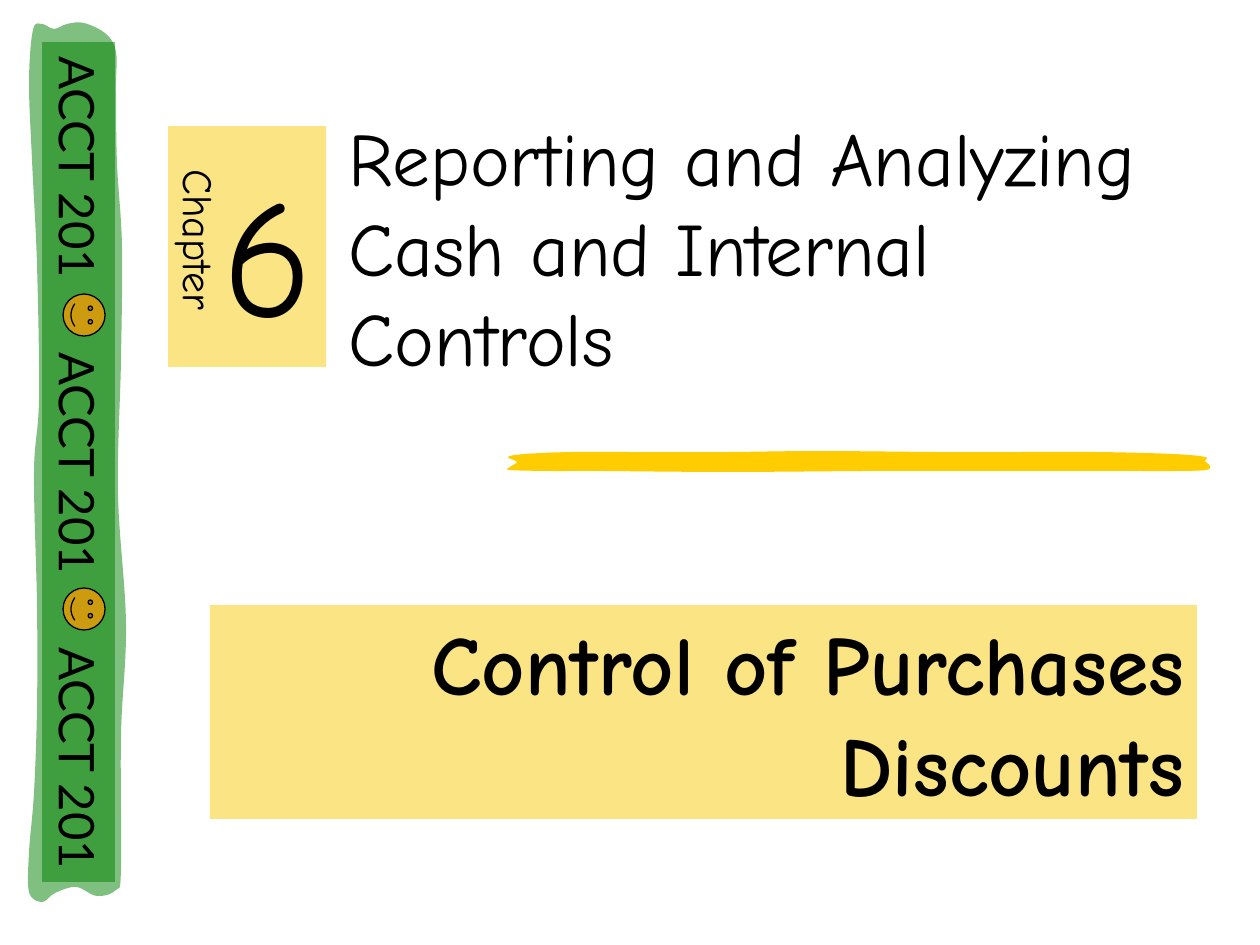
from lxml import etree
from pptx import Presentation
from pptx.dml.color import RGBColor
from pptx.enum.shapes import MSO_SHAPE
from pptx.enum.text import MSO_ANCHOR, MSO_AUTO_SIZE, PP_ALIGN
from pptx.oxml.ns import qn
from pptx.util import Pt

PX = 914400 / 126
RECTANGLE, SMILEY = MSO_SHAPE.RECTANGLE, MSO_SHAPE.SMILEY_FACE
TOP, MIDDLE, BOTTOM = MSO_ANCHOR.TOP, MSO_ANCHOR.MIDDLE, MSO_ANCHOR.BOTTOM
LEFT, RIGHT = PP_ALIGN.LEFT, PP_ALIGN.RIGHT
FIXED = MSO_AUTO_SIZE.NONE
COLORS = {"green": "008000", "gold": "FFCC00", "sand": "F8CB0A",
          "face": "CC9B10", "ink": "000000"}
FONT = "Comic Neue"
GOLD_STROKE = [
    (590, 1), (666, 3), (698, 6), (698, 10), (703, 15), (699, 19), (670, 20),
    (617, 20), (545, 20), (449, 20), (362, 20), (220, 21), (92, 20), (42, 20),
    (3, 19), (3, 16), (10, 11), (1, 6), (18, 3), (65, 1), (129, 1), (220, 1),
    (312, 0), (432, 1), (506, 1)]
GREEN_STROKE = [
    (9, 685), (9, 584), (6, 451), (11, 377), (9, 243), (4, 138), (1, 60),
    (5, 8), (14, 2), (26, 7), (39, 2), (56, 1), (78, 12), (88, 30), (88, 67),
    (89, 141), (94, 224), (93, 338), (90, 471), (98, 602), (93, 713),
    (93, 847), (88, 868), (69, 874), (48, 865), (27, 871), (14, 880),
    (1, 870), (1, 830), (6, 771)]


def emu(*lengths):
    """Turn px lengths into EMU."""
    return [round(length * PX) for length in lengths]


def paint(target, color, opacity=100):
    """Give a shape or cell a solid fill of some opacity."""
    target.fill.solid()
    target.fill.fore_color.rgb = RGBColor.from_string(COLORS[color])
    if opacity < 100:
        element = target._tc if hasattr(target, "_tc") else target.element
        tint = next(element.iter(qn("a:srgbClr")))
        etree.SubElement(tint, qn("a:alpha"), val=str(opacity * 1000))


def flatten(shape, color, opacity=100):
    """Leave a shape with only its fill."""
    shape.shadow.inherit = False
    shape.line.fill.background()
    paint(shape, color, opacity)


def write(shape, text, size, font=FONT, bold=False, align=LEFT, anchor=TOP,
          tabs=(), **frame_format):
    """Write one formatted paragraph in a shape."""
    frame = shape.text_frame
    frame_values = {"word_wrap": True, "auto_size": FIXED,
                    "vertical_anchor": anchor, **frame_format}
    for name, value in frame_values.items():
        setattr(frame, name, value)
    para = frame.paragraphs[0]
    para.alignment, para.space_before = align, Pt(0)
    if tabs:
        tab_list = etree.SubElement(para._p.get_or_add_pPr(), qn("a:tabLst"))
        for position in emu(*tabs):
            etree.SubElement(tab_list, qn("a:tab"), pos=str(position), algn="l")
    span = para.add_run()
    span.text = text
    for name, value in {"name": font, "size": Pt(size), "bold": bold}.items():
        setattr(span.font, name, value)
    span.font.color.rgb = RGBColor.from_string(COLORS["ink"])


def round_corners(shape):
    """Turn the straight sides of a closed freeform into curves."""
    outline = next(shape.element.iter(qn("a:path")))
    points = [(int(point.get("x")), int(point.get("y")))
              for point in outline.iter(qn("a:pt"))]
    for line in outline.findall(qn("a:lnTo")):
        outline.remove(line)
    close = outline.find(qn("a:close"))
    count = len(points)
    for i, start in enumerate(points):
        before, end, after = (points[(i + k) % count] for k in (-1, 1, 2))
        leave = [p + (q - r) / 6 for p, q, r in zip(start, end, before)]
        arrive = [p - (q - r) / 6 for p, q, r in zip(end, after, start)]
        curve = etree.Element(qn("a:cubicBezTo"))
        for x, y in (leave, arrive, end):
            etree.SubElement(curve, qn("a:pt"), x=str(round(x)), y=str(round(y)))
        close.addprevious(curve)


def add_stroke(page, left, top, points, color, opacity=100):
    """Draw a brush stroke from its corner."""
    corners = [emu(left + x, top + y) for x, y in points]
    builder = page.shapes.build_freeform(*corners[0], scale=1.0)
    builder.add_line_segments(corners[1:], close=True)
    stroke = builder.convert_to_shape()
    round_corners(stroke)
    flatten(stroke, color, opacity)


def add_course_band(page, left, top, width, height):
    """Draw the upright course band with its faces."""
    face = 42
    add_stroke(page, left - 14, top - 20, GREEN_STROKE, "green", 50)
    band = page.shapes.add_shape(RECTANGLE, *emu(
        left + (width - height) / 2, top + (height - width) / 2, height, width))
    band.rotation = 90
    flatten(band, "green", 50)
    write(band, "\t".join(["ACCT 201"] * 3), 28, font="Lato", anchor=MIDDLE,
          tabs=(296, 591), margin_left=emu(14)[0], margin_right=0)
    for offset in (252, 546):
        smiley = page.shapes.add_shape(SMILEY, *emu(
            left + 21, top + offset, face, face))
        smiley.rotation = 90
        smiley.shadow.inherit = False
        paint(smiley, "face")
        smiley.line.color.rgb = RGBColor.from_string(COLORS["ink"])
        smiley.line.width = Pt(0.75)


def add_chapter_card(page, left, top, width, height):
    """Draw the chapter card with its label and number."""
    table = page.shapes.add_table(1, 1, *emu(left, top, width, height)).table
    table.first_row = table.horz_banding = False
    card = table.cell(0, 0)
    for side in ("a:lnL", "a:lnR", "a:lnT", "a:lnB"):
        border = etree.SubElement(card._tc.get_or_add_tcPr(), qn(side), w="0")
        etree.SubElement(border, qn("a:noFill"))
    paint(card, "sand", 50)
    label = page.shapes.add_textbox(*emu(left - 68, top + 99, 199, 63))
    label.rotation = 90
    write(label, "Chapter", 24)
    number = page.shapes.add_textbox(*emu(left + 42, top + 17, 116, 214))
    write(number, "6", 96)


def place(shape, left, top, width, height):
    """Move a placeholder to a box."""
    box = emu(left, top, width, height)
    for name, value in zip(("left", "top", "width", "height"), box):
        setattr(shape, name, value)


def add_headings(page):
    """Fill the title and the subtitle."""
    title, subtitle = page.placeholders
    place(title, 336, 105, 892, 283)
    write(title, "Reporting and Analyzing Cash and Internal Controls", 43,
          anchor=BOTTOM)
    place(subtitle, 210, 605, 987, 214)
    paint(subtitle, "sand", 50)
    write(subtitle, "Control of Purchases Discounts", 48, bold=True, align=RIGHT)


def main():
    """Build the chapter opening slide."""
    deck = Presentation()
    deck.slide_width, deck.slide_height = emu(1260, 945)
    page = deck.slides.add_slide(deck.slide_layouts[0])
    add_stroke(page, 507, 451, GOLD_STROKE, "gold")
    add_course_band(page, 42, 42, 73, 840)
    add_headings(page)
    add_chapter_card(page, 168, 126, 158, 241)
    deck.save("out.pptx")


if __name__ == "__main__":
    main()
